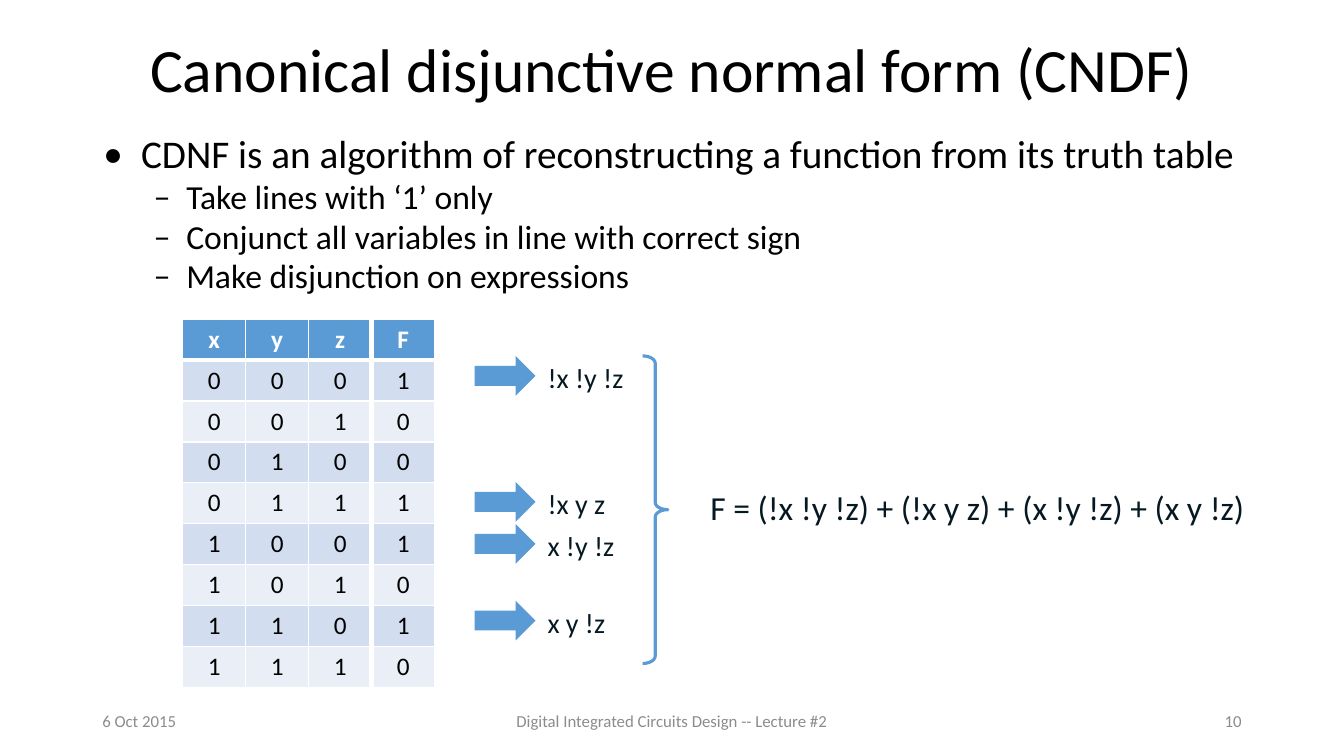
from itertools import product

from lxml import etree
from pptx import Presentation
from pptx.dml.color import RGBColor
from pptx.enum.shapes import MSO_SHAPE
from pptx.enum.text import MSO_ANCHOR, MSO_AUTO_SIZE, PP_ALIGN
from pptx.oxml.ns import qn
from pptx.util import Emu, Pt

ARROW, BRACE = MSO_SHAPE.RIGHT_ARROW, MSO_SHAPE.RIGHT_BRACE
TOP, MIDDLE = MSO_ANCHOR.TOP, MSO_ANCHOR.MIDDLE
LEFT, CENTER, RIGHT = PP_ALIGN.LEFT, PP_ALIGN.CENTER, PP_ALIGN.RIGHT
NO_FIT = MSO_AUTO_SIZE.NONE

BLACK = RGBColor(0x00, 0x00, 0x00)
WHITE = RGBColor(0xFF, 0xFF, 0xFF)
GRAY = RGBColor(0x8C, 0x8C, 0x8C)
INK = RGBColor(0x06, 0x19, 0x22)
BLUE = RGBColor(0x5B, 0x9B, 0xD5)
BANDS = (RGBColor(0xEA, 0xEF, 0xF7), RGBColor(0xD2, 0xDE, 0xEF))

FONT = "Calibri"
EMU_PER_PX = 9525
TITLE_ONLY = 5

STEPS = (
    "Take lines with ‘1’ only",
    "Conjunct all variables in line with correct sign",
    "Make disjunction on expressions",
)
FUNCTION_VALUES = "10011010"
MINTERM_TOPS = {"!x !y !z": 339, "!x y z": 459, "x !y !z": 499, "x y !z": 572}


def px(length):
    """Turn whole pixels into EMU."""
    return Emu(length * EMU_PER_PX)


def write(para, text, *, size, color=BLACK, bold=False, align=LEFT,
          spacing=None, bullet=None, indent=0, hang=0):
    """Put formatted text into a paragraph."""
    if bullet:
        properties = para._p.get_or_add_pPr()
        properties.set("marL", str(px(indent)))
        properties.set("indent", str(px(-hang)))
        etree.SubElement(properties, qn("a:buFont")).set("typeface", FONT)
        etree.SubElement(properties, qn("a:buChar")).set("char", bullet)
    para.alignment = align
    if spacing:
        para.line_spacing = spacing
    span = para.add_run()
    span.text = text
    span.font.name = FONT
    span.font.size = Pt(size)
    span.font.bold = bold
    span.font.color.rgb = color


def set_borders(cell, **widths):
    """Draw white borders of the given widths on a cell."""
    properties = cell._tc.get_or_add_tcPr()
    for index, (side, width) in enumerate(widths.items()):
        line = etree.Element(qn(f"a:ln{side}"), w=str(Pt(width)))
        fill = etree.SubElement(line, qn("a:solidFill"))
        etree.SubElement(fill, qn("a:srgbClr")).set("val", str(WHITE))
        properties.insert(index, line)


class SlideBuilder:
    """Hold the current slide and its style."""

    def __init__(self, deck):
        """Add a title-only slide to the deck."""
        self.page = deck.slides.add_slide(deck.slide_layouts[TITLE_ONLY])
        self.shapes = self.page.shapes

    def title(self, text, left, top, width, height):
        """Place and fill the title placeholder."""
        box = self.shapes.title
        box.left, box.top, box.width, box.height = map(px, (left, top, width, height))
        box.text_frame.auto_size = NO_FIT
        box.text_frame.vertical_anchor = MIDDLE
        write(box.text_frame.paragraphs[0], text, size=44, align=CENTER, spacing=0.9)

    def text(self, lines, left, top, width, height, anchor=TOP):
        """Add a text box from pairs of text and format."""
        box = self.shapes.add_textbox(*map(px, (left, top, width, height)))
        frame = box.text_frame
        frame.word_wrap = True
        frame.vertical_anchor = anchor
        for index, (line, style) in enumerate(lines):
            para = frame.add_paragraph() if index else frame.paragraphs[0]
            write(para, line, **style)

    def table(self, rows, left, top, column_width, row_height):
        """Add a banded table with a heavy rule before the last column."""
        count = len(rows[0])
        frame = self.shapes.add_table(
            len(rows), count, px(left), px(top),
            px(column_width * count), px(row_height * len(rows)))
        table = frame.table
        for column in table.columns:
            column.width = px(column_width)
        for row_index, values in enumerate(rows):
            table.rows[row_index].height = px(row_height)
            header = row_index == 0
            for column_index, value in enumerate(values):
                cell = table.cell(row_index, column_index)
                cell.fill.solid()
                cell.fill.fore_color.rgb = BLUE if header else BANDS[row_index % 2]
                set_borders(
                    cell,
                    L=4.5 if column_index == count - 1 else 1,
                    R=4.5 if column_index == count - 2 else 1,
                    T=3 if row_index == 1 else 1,
                    B=3 if header else 1)
                write(cell.text_frame.paragraphs[0], value, size=18, bold=header,
                      color=WHITE if header else BLACK, align=CENTER)

    def arrow(self, left, top, width, height):
        """Add a solid arrow pointing right."""
        arrow = self.shapes.add_shape(ARROW, *map(px, (left, top, width, height)))
        arrow.shadow.inherit = False
        arrow.fill.solid()
        arrow.fill.fore_color.rgb = BLUE
        arrow.line.fill.background()

    def brace(self, left, top, width, height):
        """Add an outlined right brace."""
        brace = self.shapes.add_shape(BRACE, *map(px, (left, top, width, height)))
        brace.shadow.inherit = False
        brace.adjustments[0] = 0.29
        brace.adjustments[1] = 0.5
        brace.fill.background()
        brace.line.color.rgb = BLUE
        brace.line.width = Pt(2.25)


def main():
    """Build and save the slide."""
    deck = Presentation()
    deck.slide_width, deck.slide_height = px(1280), px(720)
    slide = SlideBuilder(deck)

    slide.title("Canonical disjunctive normal form (CNDF)", 88, 0, 1104, 139)
    main_point = dict(size=28, spacing=0.98, bullet="•", indent=36, hang=36)
    step = dict(size=24, spacing=0.98, bullet="‒", indent=79, hang=31)
    slide.text(
        [("CDNF is an algorithm of reconstructing a function from its truth table",
          main_point)] + [(line, step) for line in STEPS],
        89, 121, 1104, 178)

    for text, left, width, align in (
            ("6 Oct 2015", 88, 288, LEFT),
            ("Digital Integrated Circuits Design -- Lecture #2", 424, 432, CENTER),
            ("10", 904, 288, RIGHT)):
        style = dict(size=12, color=GRAY, align=align)
        slide.text([(text, style)], left, 667, width, 38, anchor=MIDDLE)

    inputs = product("01", repeat=3)
    rows = [(*bits, value) for bits, value in zip(inputs, FUNCTION_VALUES)]
    slide.table([tuple("xyzF"), *rows], 174, 304, 60, 39)

    for minterm, top in MINTERM_TOPS.items():
        slide.arrow(452, top, 58, 38)
        slide.text([(minterm, dict(size=20, color=INK))], 512, top, 167, 42)

    formula = "F = " + " + ".join(f"({minterm})" for minterm in MINTERM_TOPS)
    slide.text([(formula, dict(size=24, color=INK))], 667, 459, 564, 87)
    slide.brace(612, 339, 24, 293)

    deck.save("out.pptx")


if __name__ == "__main__":
    main()
